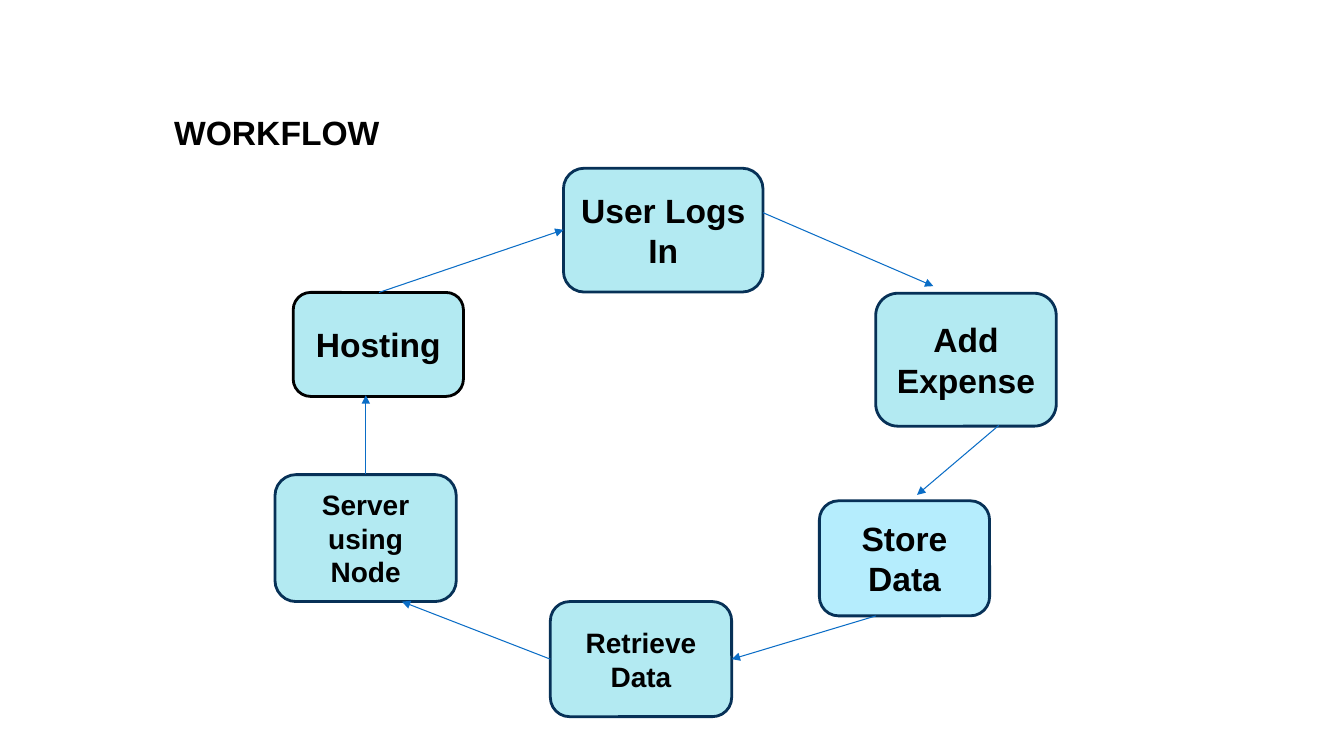
from pptx import Presentation
from pptx import util as u
from pptx.dml.color import RGBColor
from pptx.enum import shapes, text
from pptx.oxml.ns import qn
from lxml import etree


def color(code):
    return RGBColor.from_string(code)


class Board:
    font = "Arial"
    ink = "000000"
    edge = "073157"
    link = "0A6DC6"

    def __init__(self, slide):
        self.slide = slide

    def style(self, para, size):
        for run in para.runs:
            run.font.name = self.font
            run.font.size = u.Pt(size)
            run.font.bold = True
            run.font.color.rgb = color(self.ink)

    def title(self, label, area):
        frame = self.slide.shapes.add_textbox(*map(u.Cm, area)).text_frame
        frame.word_wrap = True
        frame.text = label
        para = frame.paragraphs[0]
        para.space_before = u.Pt(3.6)
        props = para._p.get_or_add_pPr()
        props.set("marL", str(u.Cm(0.38)))
        props.set("indent", "0")
        self.style(para, 24)

    def step(self, label, area, size=24, fill="B3EAF2", edge=edge):
        box = self.slide.shapes.add_shape(
            shapes.MSO_SHAPE.ROUNDED_RECTANGLE, *map(u.Cm, area))
        box.shadow.inherit = False
        box.fill.solid()
        box.fill.fore_color.rgb = color(fill)
        box.line.color.rgb = color(edge)
        box.line.width = u.Pt(2)
        frame = box.text_frame
        frame.word_wrap = True
        frame.vertical_anchor = text.MSO_ANCHOR.MIDDLE
        frame.text = label
        para = frame.paragraphs[0]
        para.alignment = text.PP_ALIGN.CENTER
        self.style(para, size)

    def arrow(self, start, end):
        line = self.slide.shapes.add_connector(
            shapes.MSO_CONNECTOR.STRAIGHT, *map(u.Cm, start + end))
        line.line.color.rgb = color(self.link)
        line.line.width = u.Pt(0.75)
        etree.SubElement(line.line._get_or_add_ln(), qn("a:tailEnd"),
                         type="triangle")
        etree.SubElement(line._element.spPr, qn("a:effectLst"))


def main():
    deck = Presentation()
    deck.slide_width, deck.slide_height = u.Cm(33.87), u.Cm(19.05)
    board = Board(deck.slides.add_slide(deck.slide_layouts[6]))

    # Heading
    board.title("WORKFLOW", (3.76, 2.69, 28.42, 14.88))

    # Steps, clockwise from the top
    board.step("User Logs In", (14.2, 4.24, 5.03, 3.12))
    board.step("Add Expense", (22.07, 7.39, 4.55, 3.35))
    board.step("Store Data", (20.65, 12.62, 4.29, 2.9), fill="B5EDFD")
    board.step("Retrieve Data", (13.87, 15.16, 4.57, 2.9), size=20)
    board.step("Server using Node", (6.93, 11.96, 4.57, 3.2), size=20)
    board.step("Hosting", (7.39, 7.37, 4.29, 2.62), edge=board.ink)

    # Arrows between the steps
    for start, end in [
        ((19.23, 5.36), (23.52, 7.21)),
        ((25.17, 10.72), (23.11, 12.47)),
        ((22.07, 15.52), (18.44, 16.61)),
        ((13.87, 16.61), (10.13, 15.16)),
        ((9.22, 11.94), (9.22, 9.96)),
        ((9.55, 7.37), (14.2, 5.79)),
    ]:
        board.arrow(start, end)

    deck.save("out.pptx")


if __name__ == "__main__":
    main()
